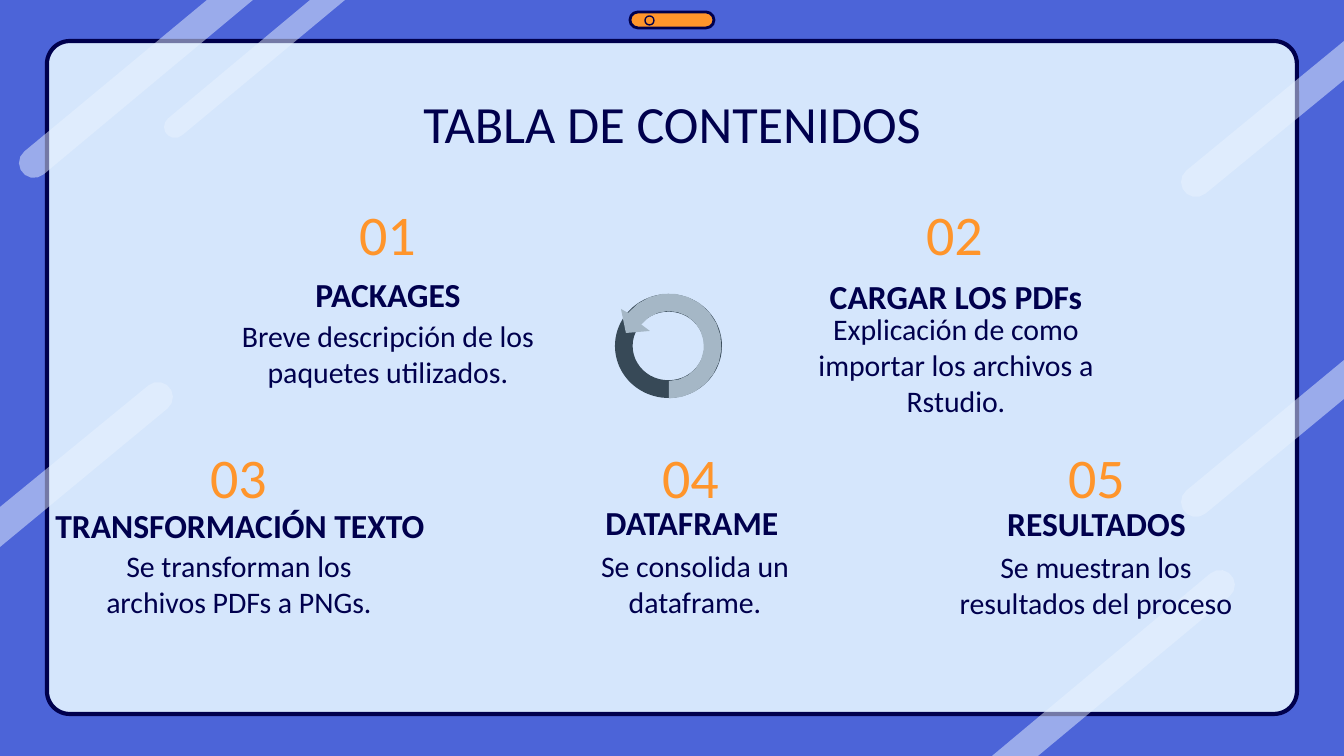
from dataclasses import dataclass
from math import cos, radians, sin

from lxml.etree import SubElement
from pptx import Presentation
from pptx.dml.color import RGBColor
from pptx.enum.shapes import MSO_SHAPE as Preset
from pptx.enum.text import MSO_ANCHOR as Anchor, MSO_AUTO_SIZE as AutoSize, PP_ALIGN as Align
from pptx.oxml.ns import qn
from pptx.util import Pt

PX = 914400 / 134.4
FONT = "Calibri"
COLORS = {
    "background": "4C64D8",
    "panel": "D5E6FC",
    "navy": "00004D",
    "orange": "FF952B",
    "stripe": "E9F3FF",
    "ring": "374957",
    "arrow": "A5B7C6",
}


@dataclass
class Section:
    number: str
    heading: str
    body: str
    number_center: int
    text_center: int
    number_top: int
    heading_top: int
    body_top: int
    heading_width: int = 478
    body_shift: int = 0


SECTIONS = [
    Section("01", "PACKAGES", "Breve descripción de los paquetes utilizados.",
            387, 388, 205, 266, 311),
    Section("02", "CARGAR LOS PDFs", "Explicación de como importar los archivos a Rstudio.",
            954, 956, 205, 268, 322),
    Section("03", "TRANSFORMACIÓN TEXTO", "Se transforman los archivos PDFs a PNGs.",
            238, 240, 448, 497, 541, body_shift=-1),
    Section("04", "DATAFRAME", "Se consolida un dataframe.",
            690, 692, 448, 494, 541, body_shift=3),
    Section("05", "RESULTADOS", "Se muestran los resultados del proceso",
            1096, 1096, 448, 495, 542, heading_width=391),
]

# Angles of the round stripe ends, for stripes rising at 40 degrees
LOWER_CAP = (50, 230)
UPPER_CAP = (230, 410)
# Cap centre, radius, cap angles, two corners at the slide edge
STRIPES = [
    ((34, 163), 15, LOWER_CAP, [(207, 0), (253, 0)]),
    ((175, 127), 11, LOWER_CAP, [(310, 0), (345, 0)]),
    ((1220, 585), 15, UPPER_CAP, [(1038, 756), (992, 756)]),
    ((1196, 502), 15, LOWER_CAP, [(1344, 360), (1344, 399)]),
    ((1196, 182), 15, LOWER_CAP, [(1344, 41), (1344, 80)]),
    ((158, 397), 15, UPPER_CAP, [(0, 547), (0, 507)]),
]


def px(length):
    return round(length * PX)


def rgb(name):
    return RGBColor.from_string(COLORS[name])


def paint(shape, fill, line=None, line_width=0):
    shape.shadow.inherit = False
    if fill:
        shape.fill.solid()
        shape.fill.fore_color.rgb = rgb(fill)
    else:
        shape.fill.background()
    if line:
        shape.line.color.rgb = rgb(line)
        shape.line.width = Pt(line_width)
    else:
        shape.line.fill.background()


def add_preset(slide, preset, box, fill, line=None, line_width=0, adjustment=None):
    shape = slide.shapes.add_shape(preset, *map(px, box))
    if adjustment is not None:
        shape.adjustments[0] = adjustment
    paint(shape, fill, line, line_width)


def arc(center, radius, start, end, steps):
    """Points along an arc; angles in degrees, clockwise from the right."""
    angles = [radians(start + (end - start) * i / steps) for i in range(steps + 1)]
    return [(center[0] + radius * cos(a), center[1] + radius * sin(a)) for a in angles]


def add_outline(slide, points, fill):
    corners = [(px(x), px(y)) for x, y in points]
    builder = slide.shapes.build_freeform(*corners[0])
    builder.add_line_segments(corners[1:], close=True)
    shape = builder.convert_to_shape()
    paint(shape, fill)
    return shape


def add_stripe(slide, center, radius, cap, edge_corners):
    stripe = add_outline(slide, arc(center, radius, *cap, steps=7) + edge_corners, "stripe")
    color = stripe.fill._xPr.find(qn("a:solidFill")).find(qn("a:srgbClr"))
    SubElement(color, qn("a:alpha"), val="50000")


def add_cycle_arrow(slide):
    center = (669, 346)
    add_preset(slide, Preset.DONUT, (615, 294, 107, 104), "ring", adjustment=0.17)
    head = [(621, 309), (626, 333), (650, 331), (642, 325)]
    outer = arc(center, 52.5, 90, -141, steps=16)
    inner = arc(center, 35, -142, 90, steps=14)
    add_outline(slide, outer + head + inner, "arrow")


def write(shape, box, text, size, color="navy", bold=False, anchor=Anchor.MIDDLE):
    shape.left, shape.top, shape.width, shape.height = map(px, box)
    frame = shape.text_frame
    frame.word_wrap = True
    frame.auto_size = AutoSize.NONE
    frame.vertical_anchor = anchor
    frame.margin_left = frame.margin_right = frame.margin_top = frame.margin_bottom = px(13)
    paragraph = frame.paragraphs[0]
    paragraph.alignment = Align.CENTER
    run = paragraph.add_run()
    run.text = text
    run.font.name = FONT
    run.font.size = Pt(size)
    run.font.bold = bold
    run.font.color.rgb = rgb(color)


def add_title(slide, text):
    title = slide.shapes.title
    # Bring the placeholder in front of the panel
    slide.shapes._spTree.append(title._element)
    write(title, (106, 78, 1132, 85), text, 28, anchor=Anchor.TOP)


def add_centered_text(slide, center, top, width, height, *style, **options):
    box = (center - width // 2, top, width, height)
    write(slide.shapes.add_textbox(0, 0, 0, 0), box, *style, **options)


def add_section(slide, section):
    add_centered_text(slide, section.number_center, section.number_top, 107, 56,
                      section.number, 30, color="orange")
    add_centered_text(slide, section.text_center, section.heading_top,
                      section.heading_width, 56, section.heading, 18, bold=True)
    add_centered_text(slide, section.text_center + section.body_shift, section.body_top,
                      348, 85, section.body, 16)


def main():
    deck = Presentation()
    deck.slide_width, deck.slide_height = px(1344), px(756)
    slide = deck.slides.add_slide(deck.slide_layouts[5])
    slide.background.fill.solid()
    slide.background.fill.fore_color.rgb = rgb("background")

    add_preset(slide, Preset.ROUNDED_RECTANGLE, (47, 41, 1250, 673),
               "panel", "navy", 2.25, 0.034)
    for stripe in STRIPES:
        add_stripe(slide, *stripe)
    add_preset(slide, Preset.ROUNDED_RECTANGLE, (630, 12, 84, 16), "orange", "navy", 1.5, 0.5)
    add_preset(slide, Preset.OVAL, (645, 16, 9, 9), None, "navy", 0.75)

    add_title(slide, "TABLA DE CONTENIDOS")
    for section in SECTIONS:
        add_section(slide, section)
    add_cycle_arrow(slide)
    deck.save("out.pptx")


if __name__ == "__main__":
    main()
